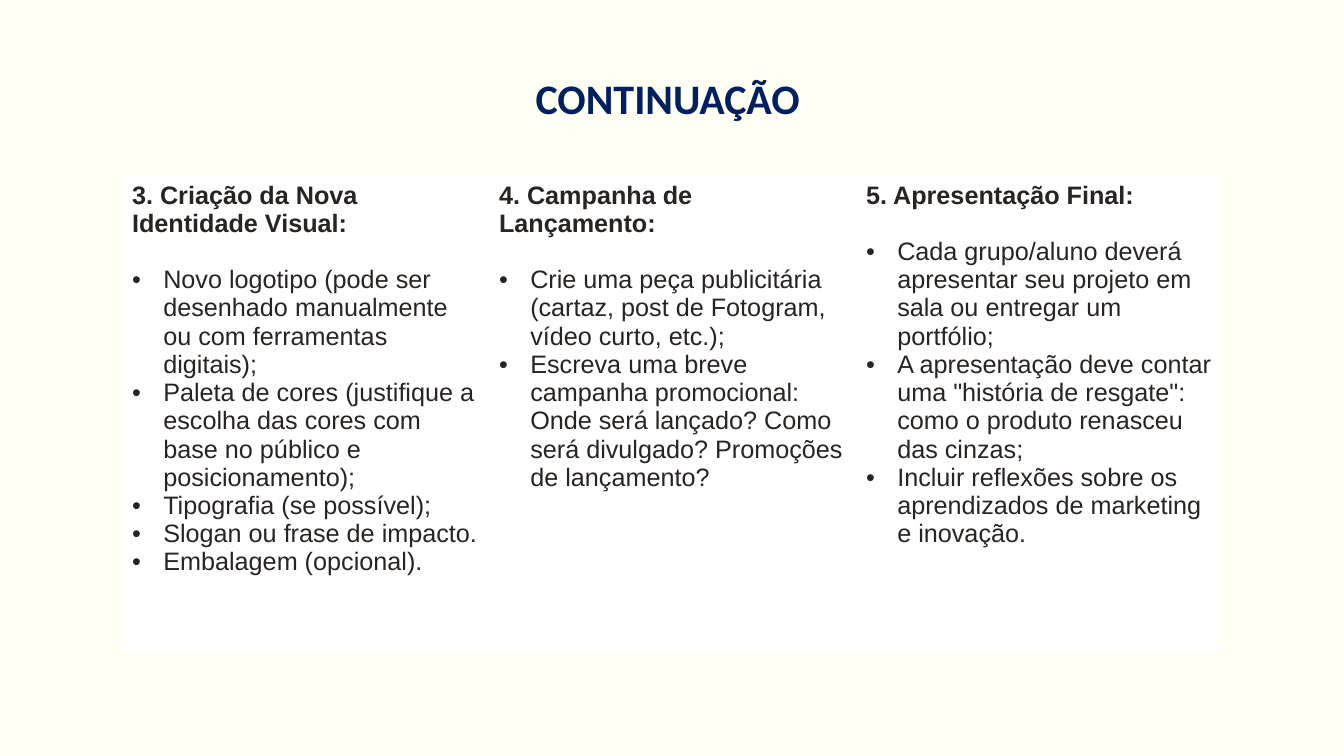
from lxml import etree
from pptx import Presentation
from pptx.dml.color import RGBColor
from pptx.enum.text import MSO_ANCHOR, PP_ALIGN
from pptx.oxml.ns import qn
from pptx.util import Inches, Pt

BOTTOM = MSO_ANCHOR.BOTTOM
CENTER = PP_ALIGN.CENTER

CREAM, WHITE, NAVY, INK = "FFFFF3", "FFFFFF", "002060", "282422"
LEFT, WIDTH = 1.21, 10.92
ROW_HEIGHTS = (4.3, 0.41)
INDENT = 0.31

STEPS = [
    ("3. Criação da Nova Identidade Visual:", [
        "Novo logotipo (pode ser desenhado manualmente ou com ferramentas digitais);",
        "Paleta de cores (justifique a escolha das cores com base no público e posicionamento);",
        "Tipografia (se possível);",
        "Slogan ou frase de impacto.",
        "Embalagem (opcional).",
    ]),
    ("4. Campanha de Lançamento:", [
        "Crie uma peça publicitária (cartaz, post de Fotogram, vídeo curto, etc.);",
        "Escreva uma breve campanha promocional: Onde será lançado? "
        "Como será divulgado? Promoções de lançamento?",
    ]),
    ("5. Apresentação Final:", [
        "Cada grupo/aluno deverá apresentar seu projeto em sala ou entregar um portfólio;",
        'A apresentação deve contar uma "história de resgate": '
        "como o produto renasceu das cinzas;",
        "Incluir reflexões sobre os aprendizados de marketing e inovação.",
    ]),
]


def color(value):
    return RGBColor.from_string(value)


def fill(target, value):
    target.fill.solid()
    target.fill.fore_color.rgb = color(value)


def apply(target, values):
    for name, value in values.items():
        setattr(target, name, value)


def write(para, text, name, size, ink, bold):
    span = para.add_run()
    span.text = text
    apply(span.font, {"name": name, "size": Pt(size), "bold": bold})
    span.font.color.rgb = color(ink)


def add_bullet(para):
    properties = para._p.get_or_add_pPr()
    properties.set("marL", str(Inches(INDENT)))
    properties.set("indent", str(-Inches(INDENT)))
    etree.SubElement(properties, qn("a:buFont")).set("typeface", "Arial")
    etree.SubElement(properties, qn("a:buChar")).set("char", "•")


def add_title(page, text):
    box = page.shapes.add_textbox(
        Inches(LEFT), Inches(0.08), Inches(WIDTH), Inches(1.2))
    apply(box.text_frame, {"word_wrap": True, "vertical_anchor": BOTTOM,
                           "margin_left": 0, "margin_right": 0})
    para = box.text_frame.paragraphs[0]
    apply(para, {"alignment": CENTER, "line_spacing": 0.9})
    write(para, text, "Calibri", 30, NAVY, True)


def fill_step(cell, heading, items):
    frame = cell.text_frame
    para = frame.paragraphs[0]
    para.space_after = Pt(20)
    write(para, heading, "Arial", 18, INK, True)
    for item in items:
        para = frame.add_paragraph()
        add_bullet(para)
        write(para, item, "Arial", 18, INK, False)


def add_steps(page, steps):
    table = page.shapes.add_table(
        len(ROW_HEIGHTS), len(steps), Inches(LEFT), Inches(1.75),
        Inches(WIDTH), Inches(sum(ROW_HEIGHTS))).table
    for row, height in zip(table.rows, ROW_HEIGHTS):
        row.height = Inches(height)
    for cell in table.iter_cells():
        fill(cell, WHITE)
    for column, (heading, items) in enumerate(steps):
        fill_step(table.cell(0, column), heading, items)


def main():
    deck = Presentation()
    apply(deck, {"slide_width": Inches(13.33), "slide_height": Inches(7.5)})
    page = deck.slides.add_slide(deck.slide_layouts[6])
    fill(page.background, CREAM)

    # Heading
    add_title(page, "CONTINUAÇÃO ")

    # Project steps, one per column
    add_steps(page, STEPS)

    deck.save("out.pptx")


if __name__ == "__main__":
    main()
